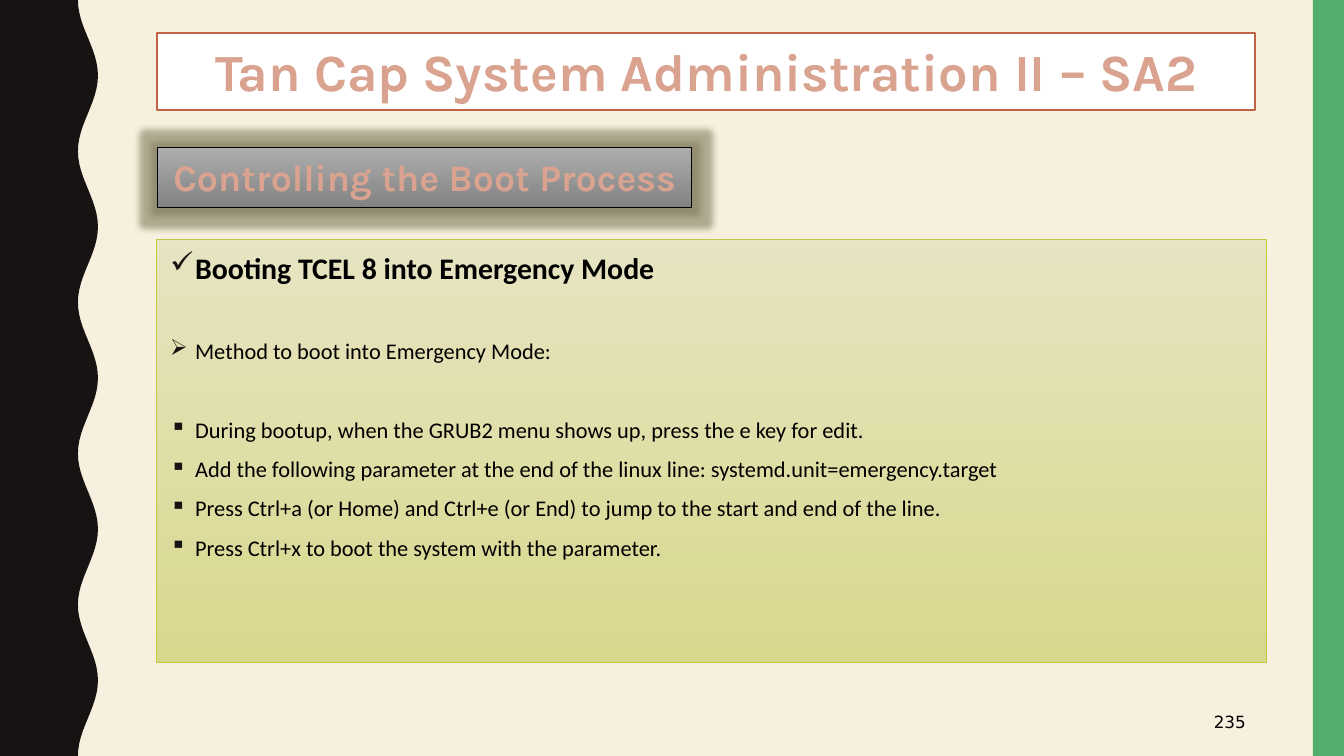
from dataclasses import dataclass
from math import cos, pi

from lxml.etree import SubElement
from pptx import Presentation
from pptx.dml.color import RGBColor
from pptx.enum.shapes import MSO_SHAPE
from pptx.enum.text import MSO_ANCHOR, PP_ALIGN
from pptx.oxml.ns import qn
from pptx.util import Pt

PX = 914400 / 134.4
WIDE, HIGH = 1344, 756


def emu(px):
    return round(px * PX)


def rgb(code):
    return RGBColor.from_string(code)


@dataclass(frozen=True)
class Theme:
    cream: str = "F7F0DF"
    dark: str = "171312"
    green: str = "53AE6E"
    white: str = "FFFFFF"
    black: str = "000000"
    rust: str = "BF6546"
    rose: str = "D9A390"
    glow: str = "7F7B5B"
    olive: str = "C3C83F"
    gray: tuple = ("ADADAD", "828282")
    lime: tuple = ("E7E4C2", "D8D88C")
    title: int = 28
    label: int = 20
    head: int = 16
    body: int = 12
    note: int = 9


class Deck:
    def __init__(self, theme):
        self.theme = theme
        self.file = Presentation()
        self.file.slide_width, self.file.slide_height = emu(WIDE), emu(HIGH)
        self.slide = self.file.slides.add_slide(self.file.slide_layouts[6])
        self.paint(self.slide.background.fill, theme.cream)

    def paint(self, fill, color):
        if isinstance(color, str):
            fill.solid()
            fill.fore_color.rgb = rgb(color)
            return
        fill.gradient()
        fill.gradient_angle = 270
        for stop, code in zip(fill.gradient_stops, color):
            stop.color.rgb = rgb(code)

    def dress(self, shape, fill, line=None, width=1):
        shape.shadow.inherit = False
        self.paint(shape.fill, fill)
        if line:
            shape.line.color.rgb = rgb(line)
            shape.line.width = Pt(width)
        else:
            shape.line.fill.background()
        return shape

    def rect(self, box, fill, line=None, width=1):
        shape = self.slide.shapes.add_shape(MSO_SHAPE.RECTANGLE, *map(emu, box))
        return self.dress(shape, fill, line, width)

    def outline(self, points, fill):
        spots = [(emu(x), emu(y)) for x, y in points]
        form = self.slide.shapes.build_freeform(*spots[0], scale=1.0)
        form.add_line_segments(spots[1:], close=True)
        return self.dress(form.convert_to_shape(), fill)

    def glow(self, shape, color, radius):
        effects = shape._element.spPr.find(qn("a:effectLst"))
        halo = SubElement(effects, qn("a:glow"), rad=str(emu(radius)))
        tone = SubElement(halo, qn("a:srgbClr"), val=color)
        SubElement(tone, qn("a:alpha"), val="60000")

    def frame(self, shape, wrap=True, anchor=MSO_ANCHOR.TOP):
        frame = shape.text_frame
        frame.word_wrap = wrap
        frame.vertical_anchor = anchor
        return frame

    def label(self, para, text, face, size, color, bold=False, **layout):
        para.text = text
        for name, value in layout.items():
            setattr(para, name, value)
        font = para.runs[0].font
        style = {"name": face, "size": Pt(size), "bold": bold}
        for name, value in style.items():
            setattr(font, name, value)
        font.color.rgb = rgb(color)

    def bullet(self, para, mark, indent):
        props = para._p.get_or_add_pPr()
        props.set("marL", str(emu(indent)))
        props.set("indent", str(-emu(indent)))
        tint = SubElement(props, qn("a:buClr"))
        SubElement(tint, qn("a:srgbClr"), val=self.theme.dark)
        SubElement(props, qn("a:buChar"), char=mark)

    def items(self, shape, rows):
        frame = self.frame(shape)
        for i, (mark, text, size, bold, gap) in enumerate(rows):
            para = frame.add_paragraph() if i else frame.paragraphs[0]
            self.bullet(para, mark, 25)
            self.label(para, text, "Calibri", size, self.theme.black, bold,
                       alignment=PP_ALIGN.LEFT, line_spacing=1.1,
                       space_before=Pt(gap))

    def number(self, box, text):
        shape = self.slide.shapes.add_textbox(*map(emu, box))
        frame = self.frame(shape, anchor=MSO_ANCHOR.MIDDLE)
        self.label(frame.paragraphs[0], text, "DejaVu Sans", self.theme.note,
                   self.theme.black, alignment=PP_ALIGN.RIGHT)

    def banner(self, shape, text, size, wrap=True):
        frame = self.frame(shape, wrap)
        self.label(frame.paragraphs[0], text, "Karla", size, self.theme.rose,
                   True, alignment=PP_ALIGN.CENTER)


def main():
    theme = Theme()
    deck = Deck(theme)

    # Wavy left edge: five full waves down the slide
    waves, parts, middle, swing = 5, 24, 88, 10
    count = waves * parts
    edge = [(middle - swing * cos(2 * pi * i / parts), HIGH * i / count)
            for i in range(count + 1)]
    deck.outline([(0, 0), *edge, (0, HIGH)], theme.dark)

    # Right band and page number
    deck.rect((1313, 0, 31, HIGH), theme.green)
    deck.number((949, 703, 310, 38), "235")

    # Title and section label
    title = deck.rect((157, 33, 1098, 77), theme.white, theme.rust)
    deck.banner(title, "Tan Cap System Administration II – SA2", theme.title)
    topic = deck.rect((158, 148, 534, 60), theme.gray, theme.black, 0.5)
    deck.glow(topic, theme.glow, 13)
    deck.banner(topic, "Controlling the Boot Process", theme.label, False)

    # Steps panel
    near, far = 5.2, 26.5
    steps = (
        "During bootup, when the GRUB2 menu shows up, press the e key for edit.",
        "Add the following parameter at the end of the linux line: systemd.unit=emergency.target",
        "Press Ctrl+a (or Home) and Ctrl+e (or End) to jump to the start and end of the line.",
        "Press Ctrl+x to boot the system with the parameter.",
    )
    rows = [
        ("✓", "Booting TCEL 8 into Emergency Mode", theme.head, True, 0),
        ("➢", "Method to boot into Emergency Mode:", theme.body, False, far),
    ]
    rows += [("▪", text, theme.body, False, near if i else far)
             for i, text in enumerate(steps)]
    panel = deck.rect((157, 239, 1110, 424), theme.lime, theme.olive, 0.5)
    deck.items(panel, rows)

    deck.file.save("out.pptx")


if __name__ == "__main__":
    main()
